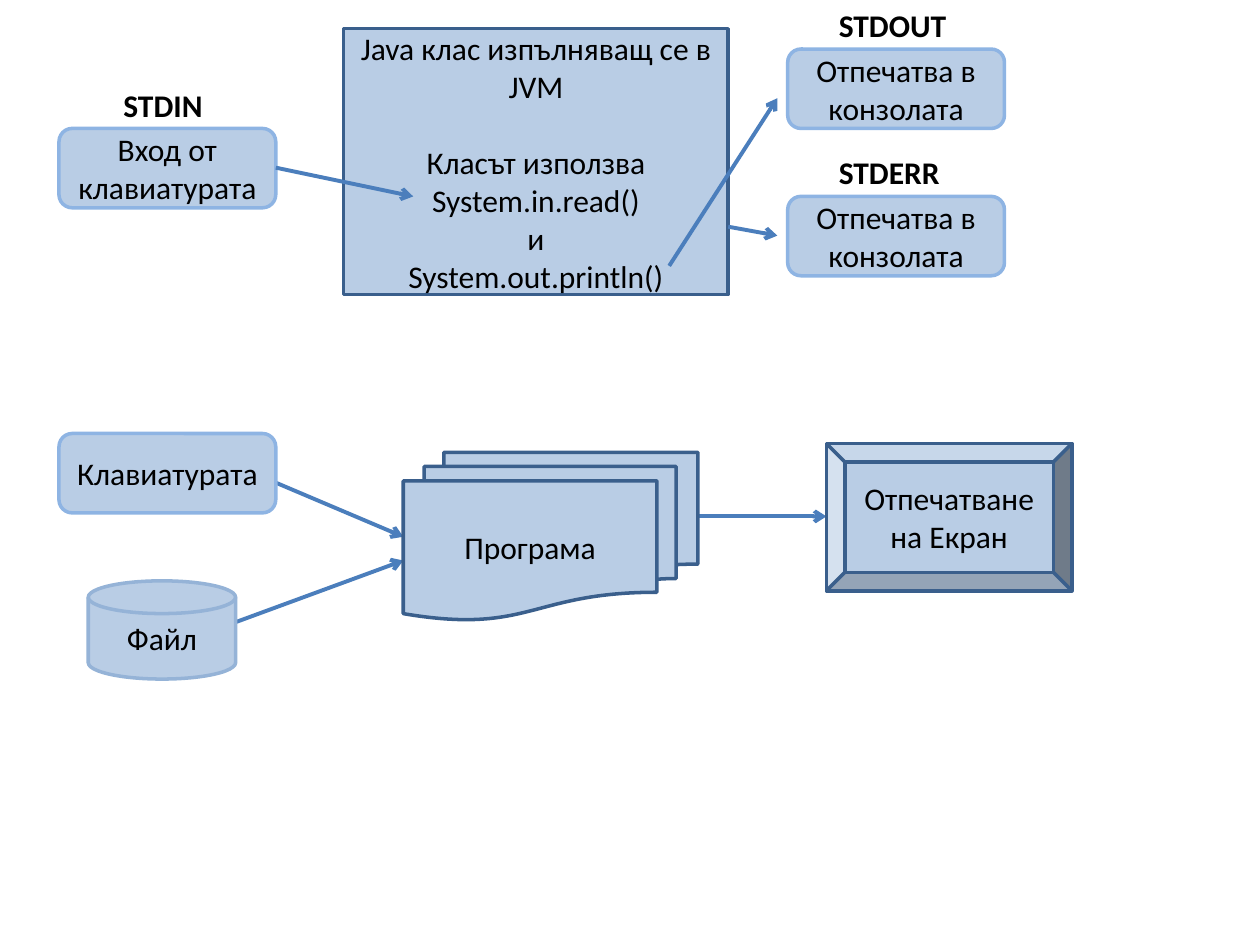
from lxml import etree
from pptx import Presentation
from pptx.dml.color import RGBColor
from pptx.enum.shapes import MSO_CONNECTOR, MSO_SHAPE
from pptx.enum.text import MSO_ANCHOR, MSO_AUTO_SIZE, PP_ALIGN
from pptx.oxml.ns import qn
from pptx.util import Cm, Pt

RECTANGLE = MSO_SHAPE.RECTANGLE
ROUNDED = MSO_SHAPE.ROUNDED_RECTANGLE
BEVEL = MSO_SHAPE.BEVEL
DISK = MSO_SHAPE.FLOWCHART_MAGNETIC_DISK
DOCUMENTS = MSO_SHAPE.FLOWCHART_MULTIDOCUMENT
STRAIGHT = MSO_CONNECTOR.STRAIGHT
CENTER, LEFT = PP_ALIGN.CENTER, PP_ALIGN.LEFT
MIDDLE, TOP = MSO_ANCHOR.MIDDLE, MSO_ANCHOR.TOP
GROW = MSO_AUTO_SIZE.SHAPE_TO_FIT_TEXT

FILL, BLACK = "B9CDE5", "000000"
DARK, LIGHT, SOFT, ARROW = "3A5F8C", "8EB4E3", "95B3D7", "4B7EBC"
NODE_WIDTH, NODE_HEIGHT = 4.37, 1.6


def color(value):
    return RGBColor.from_string(value)


def write(frame, lines, bold=False, align=CENTER, anchor=MIDDLE, wrap=True, gaps=None):
    frame.word_wrap = wrap
    frame.vertical_anchor = anchor
    for index, line in enumerate(lines):
        para = frame.paragraphs[0] if index == 0 else frame.add_paragraph()
        para.alignment = align
        para.space_before = Pt((gaps or {}).get(index, 0))
        span = para.add_run()
        span.text = line
        span.font.name = "Calibri"
        span.font.size = Pt(18)
        span.font.bold = bold
        span.font.color.rgb = color(BLACK)


def add_node(page, kind, left, top, lines, outline,
             width=NODE_WIDTH, height=NODE_HEIGHT, gaps=None):
    shape = page.shapes.add_shape(kind, Cm(left), Cm(top), Cm(width), Cm(height))
    shape.shadow.inherit = False
    shape.fill.solid()
    shape.fill.fore_color.rgb = color(FILL)
    shape.line.color.rgb = color(outline)
    shape.line.width = Pt(2)
    write(shape.text_frame, lines, gaps=gaps)


def add_label(page, left, top, width, text):
    box = page.shapes.add_textbox(Cm(left), Cm(top), Cm(width), Cm(1.02))
    write(box.text_frame, [text], bold=True, align=LEFT, anchor=TOP, wrap=False)
    box.text_frame.auto_size = GROW


def add_arrow(page, left, top, start, end):
    line = page.shapes.add_connector(
        STRAIGHT, Cm(left + start[0]), Cm(top + start[1]),
        Cm(left + end[0]), Cm(top + end[1]))
    line.line.color.rgb = color(ARROW)
    line.line.width = Pt(2.25)
    etree.SubElement(line.line._get_or_add_ln(), qn("a:tailEnd"), type="arrow")
    etree.SubElement(line._element.spPr, qn("a:effectLst"))


def add_stream_diagram(page, left, top):
    add_node(page, RECTANGLE, left + 5.74, top + 0.58,
             ["Java клас изпълняващ се в JVM", "Класът използва System.in.read()",
              "и", "System.out.println()"],
             DARK, 7.75, 5.36, gaps={1: 22})
    streams = [
        (0, 2.59, "Вход от клавиатурата", "STDIN", 1.05, 2.13),
        (14.69, 3.96, "Отпечатва в конзолата", "STDERR", 0.78, 2.57),
        (14.69, 0.99, "Отпечатва в конзолата", "STDOUT", 0.78, 2.69),
    ]
    for across, down, text, name, indent, width in streams:
        add_node(page, ROUNDED, left + across, top + down, [text], LIGHT)
        add_label(page, left + across + indent, top + down - 0.99, width, name)
    for start, end in [((NODE_WIDTH, 3.38), (7.14, 3.96)),
                       ((12.3, 5.36), (14.48, 1.98)),
                       ((13.49, 4.57), (14.48, 4.75))]:
        add_arrow(page, left, top, start, end)


def add_program_diagram(page, left, top):
    for start, end in [((NODE_WIDTH, 0.99), (6.94, 2.08)),
                       ((3.13, 3.96), (6.94, 2.56)),
                       ((12.91, 1.67), (15.47, 1.67))]:
        add_arrow(page, left, top, start, end)
    add_node(page, ROUNDED, left, top, ["Клавиатурата"], LIGHT)
    add_node(page, BEVEL, left + 15.47, top + 0.2, ["Отпечатване на Екран"], DARK, 4.95, 2.97)
    add_node(page, DISK, left + 0.59, top + 2.97, ["Файл"], SOFT, 2.97, 1.98)
    add_node(page, DOCUMENTS, left + 6.94, top + 0.38, ["Програма"], DARK, 5.94, 3.38)


deck = Presentation()
deck.slide_width, deck.slide_height = Cm(25.4), Cm(19.05)
page = deck.slides.add_slide(deck.slide_layouts[6])
add_stream_diagram(page, 1.19, 0)
add_program_diagram(page, 1.19, 8.74)
deck.save("out.pptx")
